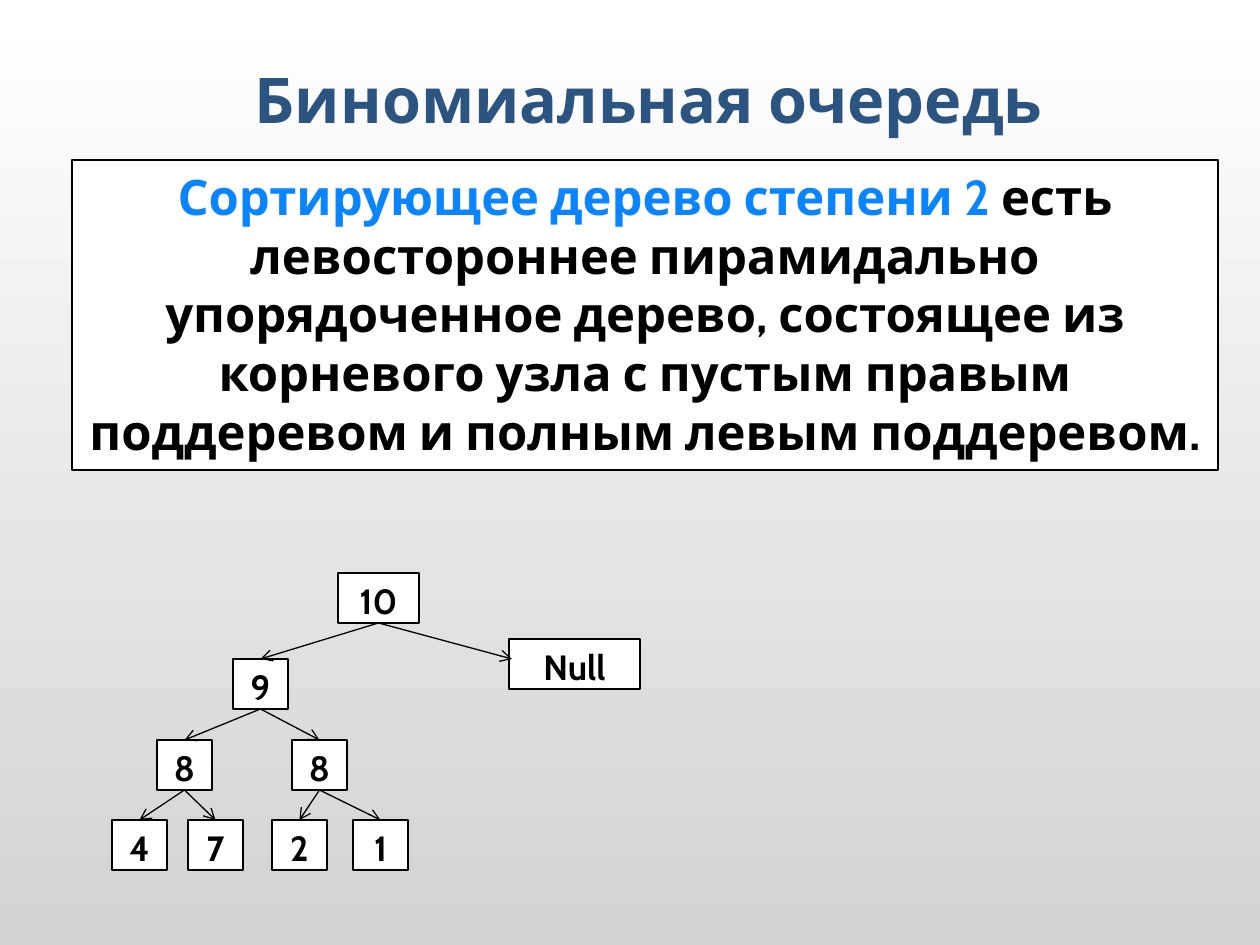
from pptx import Presentation
from pptx import util as u
from pptx.dml.color import RGBColor
from pptx.enum import shapes, text
from pptx.oxml.ns import qn
from lxml import etree

BLACK = RGBColor(0x00, 0x00, 0x00)
WHITE = RGBColor(0xFF, 0xFF, 0xFF)
GRAY = RGBColor(0xD3, 0xD3, 0xD3)
NAVY = RGBColor(0x2B, 0x54, 0x81)
BLUE = RGBColor(0x0A, 0x85, 0xFF)
FONT = "Cabin"
SCALE = 914400 / 126


def px(*sizes):
    return [u.Emu(round(size * SCALE)) for size in sizes]


def write(frame, runs, size=20, anchor=text.MSO_ANCHOR.TOP):
    frame.word_wrap = True
    frame.vertical_anchor = anchor
    para = frame.paragraphs[0]
    para.alignment = text.PP_ALIGN.CENTER
    para.space_before = u.Pt(size * 0.2)
    for words, color in runs:
        run = para.add_run()
        run.text = words
        run.font.name = FONT
        run.font.size = u.Pt(size)
        run.font.bold = True
        run.font.color.rgb = color


class Board:
    def __init__(self, slide):
        self.slide = slide
        self.line = u.Pt(0.75)

    def shade(self, top, bottom):
        fill = self.slide.background.fill
        fill.gradient()
        fill.gradient_angle = 270
        for stop, color in zip(fill.gradient_stops, (top, bottom)):
            stop.color.rgb = color

    def title(self, words, x, y, w, h):
        box = self.slide.shapes.add_textbox(*px(x, y, w, h))
        write(box.text_frame, [(words, NAVY)], size=36,
              anchor=text.MSO_ANCHOR.MIDDLE)

    def box(self, runs, x, y, w, h, size=20):
        rect = self.slide.shapes.add_shape(
            shapes.MSO_SHAPE.RECTANGLE, *px(x, y, w, h))
        rect.shadow.inherit = False
        rect.fill.solid()
        rect.fill.fore_color.rgb = WHITE
        rect.line.color.rgb = BLACK
        rect.line.width = self.line
        write(rect.text_frame, runs, size=size)
        return rect

    def arrow(self, start, end, tip=None):
        x, y = tip or (0, 0)
        link = self.slide.shapes.add_connector(
            shapes.MSO_CONNECTOR.STRAIGHT, *px(0, 0, x, y))
        link.begin_connect(start, 2)
        if tip is None:
            link.end_connect(end, 0)
        link.line.color.rgb = BLACK
        link.line.width = self.line
        etree.SubElement(link.line._get_or_add_ln(), qn("a:tailEnd"), type="arrow")
        etree.SubElement(link._element.spPr, qn("a:effectLst"))


def main():
    deck = Presentation()
    deck.slide_width, deck.slide_height = px(1260, 945)
    board = Board(deck.slides.add_slide(deck.slide_layouts[6]))
    board.shade(WHITE, GRAY)
    board.title("Биномиальная очередь", 82, 30, 1134, 136)
    board.box([
        ("Сортирующее дерево степени 2 ", BLUE),
        ("есть левостороннее пирамидально упорядоченное дерево, "
         "состоящее из корневого узла с пустым правым поддеревом "
         "и полным левым поддеревом.", BLACK),
    ], 72, 160, 1146, 310, size=28)

    tree = [
        ("root", None, "10", 338, 573, 81),
        ("null", "root", "Null", 509, 639, 131),
        ("top", "root", "9", 233, 659, 55),
        ("left", "top", "8", 157, 740, 55),
        ("right", "top", "8", 292, 740, 55),
        ("four", "left", "4", 112, 820, 55),
        ("seven", "left", "7", 188, 820, 55),
        ("two", "right", "2", 272, 820, 55),
        ("one", "right", "1", 353, 820, 55),
    ]
    tips = {"null": (512, 659)}
    nodes = {}
    for name, parent, label, x, y, w in tree:
        nodes[name] = board.box([(label, BLACK)], x, y, w, 50)
        if parent:
            board.arrow(nodes[parent], nodes[name], tips.get(name))
    deck.save("out.pptx")


if __name__ == "__main__":
    main()
